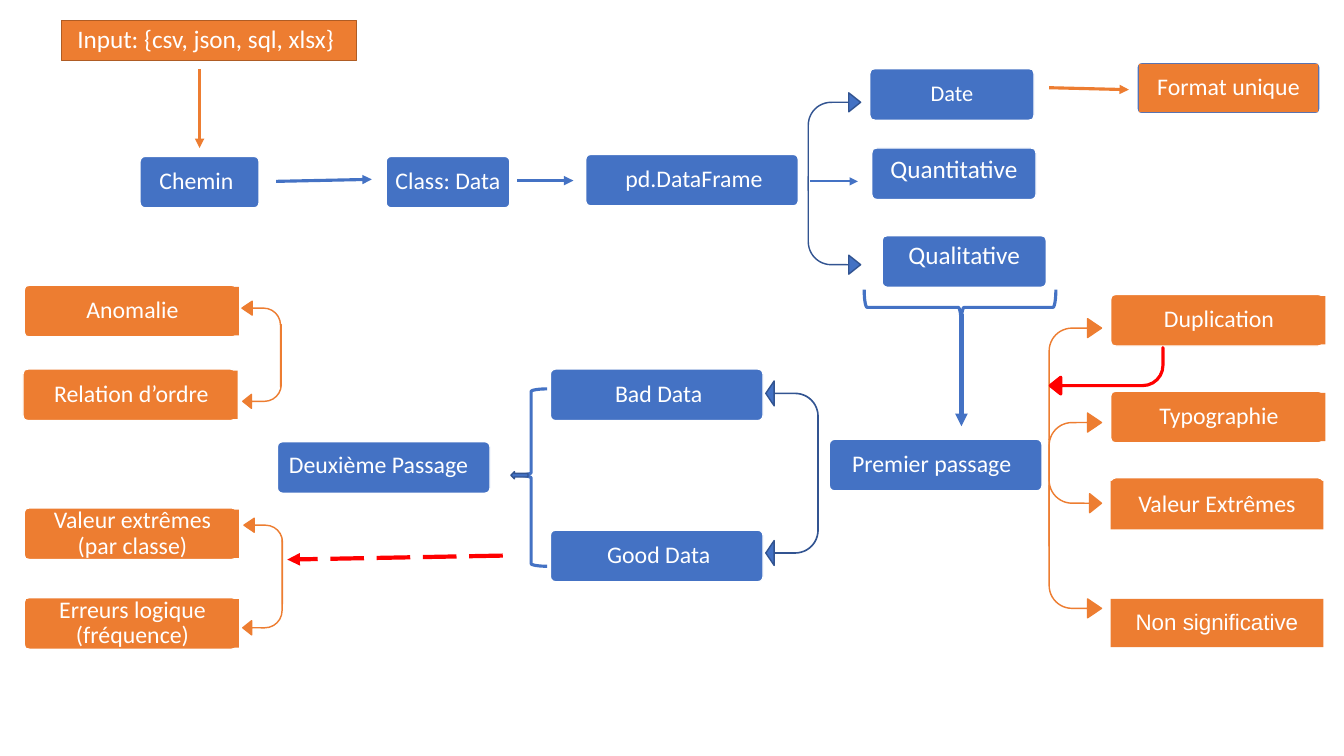
from dataclasses import dataclass
from typing import Optional

from lxml import etree
from pptx import Presentation
from pptx import util as u
from pptx.dml.color import RGBColor
from pptx.enum import dml, shapes, text
from pptx.oxml import ns

BLUE = RGBColor(0x44, 0x72, 0xC4)
NAVY = RGBColor(0x32, 0x54, 0x91)
ORANGE = RGBColor(0xED, 0x7D, 0x31)
BROWN = RGBColor(0xAF, 0x5C, 0x24)
RED = RGBColor(0xFF, 0x00, 0x00)
WHITE = RGBColor(0xFF, 0xFF, 0xFF)

KIND = shapes.MSO_SHAPE
WIDE, HIGH, LABEL = 5.36, 1.3, 1.22  # usual card width, card and label height
BEND = (0, 0.181, 0.226, 0.438)
LONG = (0, 0.181, 0.267, 0.438)
FAT = (0.005, 0.238, 0.16, 0.438)


@dataclass
class Card:
    words: str
    x: float
    y: float
    w: float = WIDE
    fill: RGBColor = BLUE
    label: Optional[RGBColor] = None
    dx: float = 0.05
    dy: float = 0.04
    high: float = LABEL
    size: int = 17


@dataclass
class Bend:
    x: float
    y: float
    w: float
    h: float
    flip: str
    form: tuple
    fill: RGBColor = ORANGE
    edge: RGBColor = ORANGE
    width: float = 1


@dataclass
class Line:
    x1: float
    y1: float
    x2: float
    y2: float
    color: RGBColor
    width: float = 2.25
    dash: bool = False


def add_form(host, kind, box: tuple, fill: Optional[RGBColor],
             edge: Optional[RGBColor], width: float = 1, form: tuple = ()):
    item = host.add_shape(kind, *map(u.Cm, box))
    item.shadow.inherit = False
    if fill is None:
        item.fill.background()
    else:
        item.fill.solid()
        item.fill.fore_color.rgb = fill
    if edge is None:
        item.line.fill.background()
    else:
        item.line.color.rgb = edge
        item.line.width = u.Pt(width)
    for i, value in enumerate(form):
        item.adjustments[i] = value
    return item


def write(item, words: str, size: int, font: str = "Calibri") -> None:
    frame = item.text_frame
    frame.word_wrap = True
    frame.vertical_anchor = text.MSO_ANCHOR.MIDDLE
    frame.margin_left = frame.margin_right = u.Cm(0.18)
    frame.margin_top = frame.margin_bottom = u.Cm(0.18)
    frame.text = words
    line = frame.paragraphs[0]
    line.alignment = text.PP_ALIGN.CENTER
    line.line_spacing = 0.9
    for run in line.runs:
        run.font.size = u.Pt(size)
        run.font.name = font
        run.font.color.rgb = WHITE


def draw_card(slide, card: Card) -> None:
    group = slide.shapes.add_group_shape().shapes
    add_form(group, KIND.ROUNDED_RECTANGLE, (card.x, card.y, card.w, HIGH),
             card.fill, WHITE, 1, (0.1,))
    # Narrow cards keep their label inside the edges
    wide = card.w if card.w == WIDE else card.w - 0.1
    box = (card.x + card.dx, card.y + card.dy, wide, card.high)
    if card.label is None:
        label = group.add_textbox(*map(u.Cm, box))
    else:
        label = add_form(group, KIND.RECTANGLE, box, card.label, None)
    write(label, card.words, card.size)


def draw_bend(slide, bend: Bend) -> None:
    item = add_form(slide.shapes, KIND.BENT_ARROW, (bend.x, bend.y, bend.w, bend.h),
                    bend.fill, bend.edge, bend.width, bend.form)
    frame = item.element.spPr.find(ns.qn("a:xfrm"))
    for side in bend.flip:
        frame.set("flip" + side, "1")


def draw_line(slide, line: Line) -> None:
    ends = map(u.Cm, (line.x1, line.y1, line.x2, line.y2))
    item = slide.shapes.add_connector(shapes.MSO_CONNECTOR.STRAIGHT, *ends)
    item.line.color.rgb = line.color
    item.line.width = u.Pt(line.width)
    if line.dash:
        item.line.dash_style = dml.MSO_LINE.LONG_DASH
    props = item.element.spPr
    etree.SubElement(props.find(ns.qn("a:ln")), ns.qn("a:tailEnd"), type="triangle")
    etree.SubElement(props, ns.qn("a:effectLst"))


CARDS = [
    # Loading
    Card("Chemin", 3.53, 3.94, 3.0, dx=-0.03),
    Card("Class: Data", 9.73, 3.94, 3.12),
    Card("pd.DataFrame", 14.76, 3.89),
    # Column kinds
    Card("Date", 21.92, 1.73, 4.14, label=BLUE, size=16),
    Card("Quantitative", 21.97, 3.73, 4.14, label=BLUE, high=1.07, size=18),
    Card("Qualitative", 22.23, 5.94, 4.14, label=BLUE, high=0.94, size=18),
    Card("Format unique", 28.65, 1.57, 4.62, label=ORANGE),
    # First pass
    Card("Premier passage", 20.9, 11.07, dx=-0.1),
    Card("Duplication", 27.99, 7.42, fill=ORANGE, label=ORANGE),
    Card("Typographie", 27.99, 9.86, fill=ORANGE, label=ORANGE),
    Card("Valeur Extrêmes", 27.99, 12.04, fill=ORANGE, label=ORANGE, dx=0, dy=0.08),
    Card("Bad Data", 13.87, 9.3),
    Card("Good Data", 13.87, 13.36),
    # Second pass
    Card("Deuxième Passage", 6.99, 11.13, dx=-0.13, dy=0),
    Card("Anomalie", 0.61, 7.19, fill=ORANGE, label=ORANGE),
    Card("Relation d’ordre", 0.58, 9.3, fill=ORANGE, label=ORANGE),
    Card("Valeur extrêmes (par classe)", 0.61, 12.8, fill=ORANGE, label=ORANGE),
    Card("Erreurs logique (fréquence)", 0.61, 15.06, fill=ORANGE, label=ORANGE),
]

BENDS = [
    # Frame to column kinds
    Bend(20.37, 4.45, 1.32, 2.46, "V", BEND, BLUE, NAVY),
    Bend(20.37, 2.34, 1.32, 2.46, "", BEND, BLUE, NAVY),
    # First pass to its checks
    Bend(26.44, 11.07, 1.32, 1.85, "V", BEND),
    Bend(26.44, 12.22, 1.32, 3.35, "V", LONG),
    Bend(26.44, 8.03, 1.32, 3.05, "", LONG),
    Bend(26.44, 10.41, 1.32, 3.35, "", LONG),
    Bend(26.47, 8.76, 2.84, 1.17, "HV", BEND, RED, RED, 2.25),
    # First pass to bad and good data
    Bend(19.3, 9.6, 1.32, 2.36, "H", FAT, BLUE, NAVY),
    Bend(19.3, 11.89, 1.32, 2.36, "HV", FAT, BLUE, NAVY),
    # Second pass to its checks
    Bend(6.12, 8.18, 0.97, 2.11, "HV", BEND),
    Bend(6.1, 7.59, 0.97, 2.16, "H", LONG),
    Bend(6.12, 13.61, 0.99, 2.39, "HV", BEND),
    Bend(6.15, 13.06, 0.97, 2.16, "H", LONG),
]

LINES = [
    Line(5.03, 1.75, 5.03, 3.73, ORANGE),
    Line(6.96, 4.57, 9.37, 4.52, BLUE),
    Line(13.03, 4.55, 14.45, 4.55, BLUE),
    Line(20.42, 4.57, 21.62, 4.57, BLUE, 1.5),
    Line(26.44, 2.21, 28.45, 2.26, ORANGE),
    Line(24.23, 7.92, 24.23, 10.74, BLUE, 3),
    Line(12.67, 14.0, 7.24, 14.1, RED, 3, True),
]


def main() -> None:
    deck = Presentation()
    deck.slide_width, deck.slide_height = u.Cm(33.87), u.Cm(19.05)
    slide = deck.slides.add_slide(deck.slide_layouts[6])

    # Input and plain boxes
    source = add_form(slide.shapes, KIND.RECTANGLE, (1.55, 0.51, 7.44, 1.02), ORANGE, BROWN)
    write(source, "Input: {csv, json, sql, xlsx}", 18)
    source.text_frame.paragraphs[0].alignment = text.PP_ALIGN.LEFT
    source.text_frame.margin_left = u.Cm(0.4)
    minor = add_form(slide.shapes, KIND.RECTANGLE, (27.99, 15.09, WIDE, LABEL), ORANGE, None)
    write(minor, "Non significative", 16, "Arial")

    for card in CARDS:
        draw_card(slide, card)

    # Braces and the small arrow to the second pass
    for box, turn, mid in (((23.75, 5.33, 0.89, 4.83), 270, 0.506),
                           ((12.98, 9.8, 0.81, 4.47), 0, 0.487)):
        brace = add_form(slide.shapes, KIND.LEFT_BRACE, box, None, BLUE, 2.25, (0.083, mid))
        brace.rotation = turn
    tip = add_form(slide.shapes, KIND.DOWN_ARROW, (13.0, 11.76, 0.18, 0.43), BLUE, NAVY)
    tip.rotation = 90

    for bend in BENDS:
        draw_bend(slide, bend)
    for line in LINES:
        draw_line(slide, line)
    deck.save("out.pptx")


if __name__ == "__main__":
    main()
